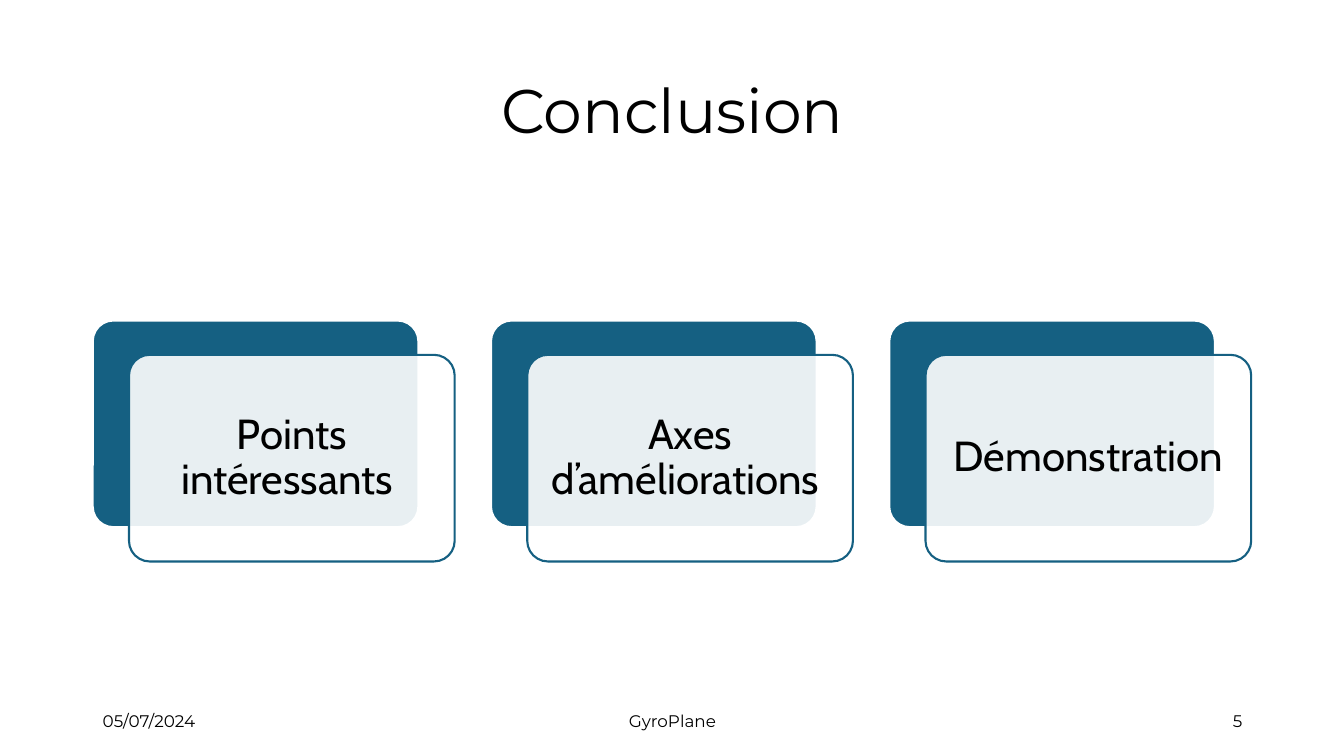
"""Build the conclusion slide with three layered cards and a footer."""
from dataclasses import dataclass

from lxml import etree
from pptx import Presentation
from pptx import util as u
from pptx.dml.color import RGBColor
from pptx.enum import shapes, text
from pptx.oxml.ns import qn

TITLE = "Conclusion"
TOPICS = ["Points intéressants ", "Axes d’améliorations ", "Démonstration"]
FOOTER = [
    ("05/07/2024", 92, 300, text.PP_ALIGN.LEFT),
    ("GyroPlane", 442, 450, text.PP_ALIGN.CENTER),
    ("5", 942, 300, text.PP_ALIGN.RIGHT),
]

SLIDE_W, SLIDE_H = 1333, 750
TITLE_BOX = (92, 40, 1150, 145)
CARD_W, CARD_H = 323, 205
CARDS_LEFT, CARDS_TOP, CARD_PITCH = 92, 318, 395
FRONT_DX, FRONT_DY = 36, 34
CARD_INSET = 12
FOOTER_TOP, FOOTER_H = 695, 40


@dataclass(frozen=True)
class Theme:
    """Colours, fonts and type sizes of the slide."""
    ink: str = "000000"
    paper: str = "FFFFFF"
    accent: str = "156082"
    heading_font: str = "Montserrat"
    body_font: str = "Cabin"
    title_size: int = 44
    topic_size: int = 30
    footer_size: int = 12
    outline: float = 1.5
    corner: float = 0.1
    front_opacity: int = 90


THEME = Theme()


def px(length):
    """Turn px, at 100 to the inch, into EMU."""
    return u.Emu(length * 9144)


def write(shape, words, *, font=THEME.heading_font, size=THEME.footer_size,
          align=text.PP_ALIGN.CENTER, spacing=None, inset=None):
    """Fill a shape with one formatted, vertically centred paragraph."""
    frame = shape.text_frame
    frame.word_wrap = True
    frame.vertical_anchor = text.MSO_ANCHOR.MIDDLE
    if inset is not None:
        frame.margin_left = frame.margin_right = px(inset)
        frame.margin_top = frame.margin_bottom = px(inset)
    paragraph = frame.paragraphs[0]
    paragraph.alignment = align
    paragraph.line_spacing = spacing
    run = paragraph.add_run()
    run.text = words
    run.font.name = font
    run.font.size = u.Pt(size)
    run.font.color.rgb = RGBColor.from_string(THEME.ink)


def add_text(slide, box, words, **style):
    """Add a text box at a px box."""
    write(slide.shapes.add_textbox(*map(px, box)), words, **style)


def add_panel(slide, left, top, fill, line, opacity=100):
    """Add one rounded card layer and return it."""
    panel = slide.shapes.add_shape(
        shapes.MSO_SHAPE.ROUNDED_RECTANGLE,
        px(left), px(top), px(CARD_W), px(CARD_H))
    panel.adjustments[0] = THEME.corner
    panel.shadow.inherit = False
    panel.fill.solid()
    panel.fill.fore_color.rgb = RGBColor.from_string(fill)
    panel.line.color.rgb = RGBColor.from_string(line)
    panel.line.width = u.Pt(THEME.outline)
    if opacity < 100:
        colour = panel.fill._xPr.find(qn("a:solidFill"))[0]
        etree.SubElement(colour, qn("a:alpha"), val=str(opacity * 1000))
    return panel


def main():
    """Lay out the slide and save it."""
    deck = Presentation()
    deck.slide_width, deck.slide_height = px(SLIDE_W), px(SLIDE_H)
    slide = deck.slides.add_slide(deck.slide_layouts[6])

    add_text(slide, TITLE_BOX, TITLE, size=THEME.title_size, spacing=0.9)

    for index, topic in enumerate(TOPICS):
        left = CARDS_LEFT + index * CARD_PITCH
        add_panel(slide, left, CARDS_TOP, THEME.accent, THEME.paper)
        front = add_panel(slide, left + FRONT_DX, CARDS_TOP + FRONT_DY,
                          THEME.paper, THEME.accent, THEME.front_opacity)
        write(front, topic, font=THEME.body_font, size=THEME.topic_size,
              spacing=0.9, inset=CARD_INSET)

    for words, left, width, align in FOOTER:
        add_text(slide, (left, FOOTER_TOP, width, FOOTER_H), words, align=align)

    deck.save("out.pptx")


if __name__ == "__main__":
    main()
